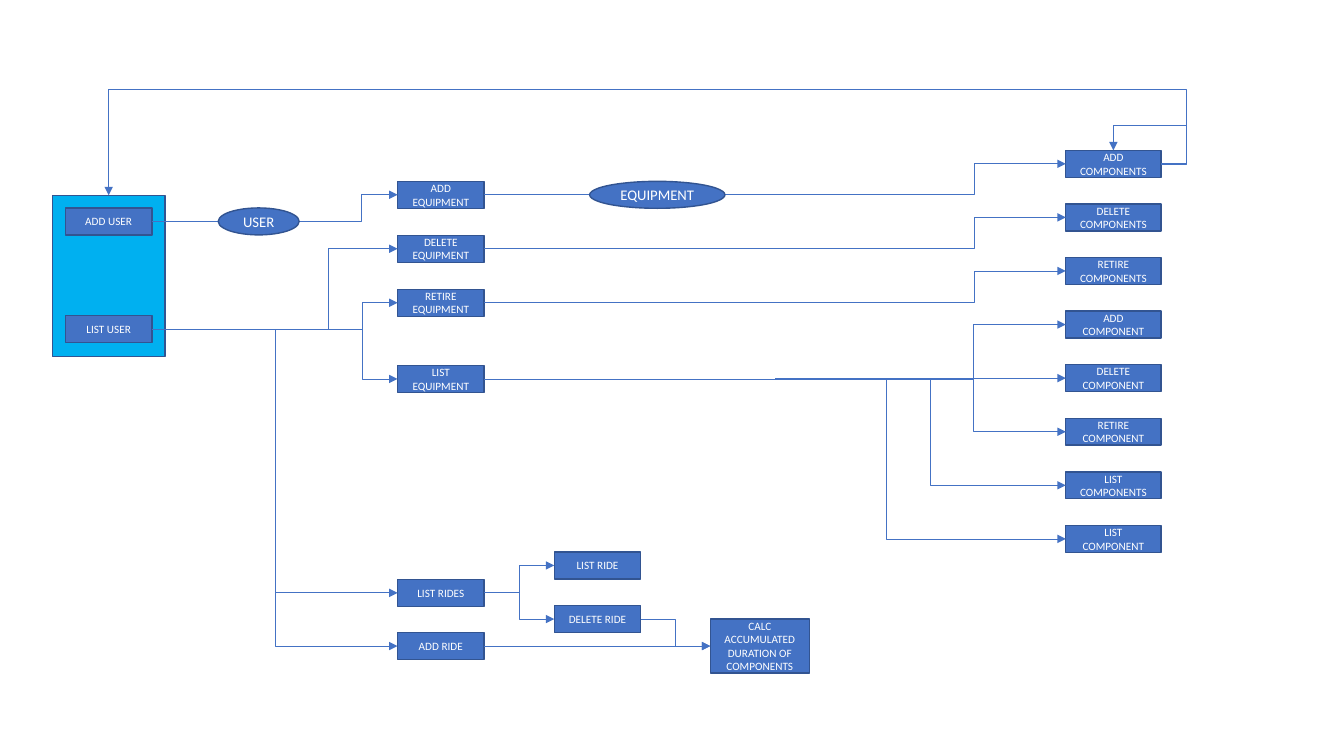
from pptx import Presentation
from pptx.dml.color import RGBColor
from pptx.enum.shapes import MSO_CONNECTOR as LINE, MSO_SHAPE as SHAPE
from pptx.enum.text import MSO_ANCHOR, PP_ALIGN
from pptx.oxml.ns import qn
from pptx.util import Cm, Pt
from lxml.etree import SubElement

TOP, LEFT, RIGHT = 0, 1, 3  # connection sites of a rectangle


def rgb(code):
    """Turn a hex string into a colour."""
    return RGBColor.from_string(code)


class Diagram:
    """Holds the style, the slide and the boxes found by their label."""

    font, fill, edge, ink = "Calibri", "4472C4", "325491", "FFFFFF"

    def __init__(self, slide):
        """Start an empty diagram on a slide."""
        self.shapes = slide.shapes
        self.boxes = {}

    def node(self, text, x, y, w=2.18, h=0.68, kind=SHAPE.RECTANGLE, size=8, fill=fill):
        """Draw a box or ellipse, sized in cm, with centred text."""
        sp = self.shapes.add_shape(kind, Cm(x), Cm(y), Cm(w), Cm(h))
        sp.shadow.inherit = False
        sp.fill.solid()
        sp.fill.fore_color.rgb = rgb(fill)
        sp.line.color.rgb = rgb(self.edge)
        sp.line.width = Pt(1)
        if text:
            tf = sp.text_frame
            tf.word_wrap = True
            tf.vertical_anchor = MSO_ANCHOR.MIDDLE
            p = tf.paragraphs[0]
            p.alignment = PP_ALIGN.CENTER
            r = p.add_run()
            r.text = text
            r.font.name, r.font.size = self.font, Pt(size)
            r.font.color.rgb = rgb(self.ink)
            self.boxes[text] = sp
        return sp

    def column(self, labels, x, y, step, w=2.18):
        """Stack boxes at an equal step."""
        for i, label in enumerate(labels):
            self.node(label, x, y + i * step, w)

    def arrow(self, start, end, bend_x=None, bend_y=None, site=LEFT):
        """Join two boxes, turning at bend_x and, if given, at bend_y."""
        kind = LINE.STRAIGHT if bend_x is None else LINE.ELBOW
        cxn = self.shapes.add_connector(kind, 0, 0, 0, 0)
        cxn.begin_connect(start, RIGHT)
        cxn.end_connect(end, site)
        cxn.line.color.rgb = rgb(self.fill)
        cxn.line.width = Pt(0.5)
        sp_pr = cxn._element.spPr
        SubElement(sp_pr.find(qn("a:ln")), qn("a:tailEnd"), type="triangle")
        SubElement(sp_pr, qn("a:effectLst"))
        geom = sp_pr.find(qn("a:prstGeom"))
        if bend_y is not None:
            geom.set("prst", "bentConnector4")
        guides = geom.find(qn("a:avLst"))
        if guides is None:
            guides = SubElement(geom, qn("a:avLst"))
        spans = [(bend_x, cxn.begin_x, cxn.end_x), (bend_y, cxn.begin_y, cxn.end_y)]
        for i, (bend, a, b) in enumerate(spans, 1):
            if bend is not None:
                share = round((Cm(bend) - a) / (b - a) * 100000)
                SubElement(guides, qn("a:gd"), name=f"adj{i}", fmla=f"val {share}")


prs = Presentation()
prs.slide_width, prs.slide_height = Cm(33.87), Cm(19.05)
d = Diagram(prs.slides.add_slide(prs.slide_layouts[6]))

panel = d.node("", 1.32, 4.92, 2.84, 4.07, fill="00B0F0")
d.column(["ADD USER", "LIST USER"], 1.65, 5.24, 2.71)
d.column(["ADD EQUIPMENT", "DELETE EQUIPMENT", "RETIRE EQUIPMENT"], 10.02, 4.57, 1.36)
d.node("LIST EQUIPMENT", 10.02, 9.21)
d.column(["LIST RIDES", "ADD RIDE"], 10.02, 14.6, 1.34)
d.column(["LIST RIDE", "DELETE RIDE"], 13.97, 13.91, 1.35)
d.node("CALC ACCUMULATED DURATION OF COMPONENTS", 17.9, 15.6, 2.5, 1.36)
d.column(["ADD COMPONENTS", "DELETE COMPONENTS", "RETIRE COMPONENTS",
          "ADD COMPONENT", "DELETE COMPONENT", "RETIRE COMPONENT",
          "LIST COMPONENTS", "LIST COMPONENT"], 26.86, 3.79, 1.35, 2.4)

# Each source box with its targets and the x where the arrow turns
flows = {
    "ADD USER": [("ADD EQUIPMENT", 9.1)],
    "LIST USER": [("DELETE EQUIPMENT", 8.28), ("RETIRE EQUIPMENT", 9.12),
                  ("LIST EQUIPMENT", 9.12), ("LIST RIDES", 6.93), ("ADD RIDE", 6.93)],
    "ADD EQUIPMENT": [("ADD COMPONENTS", 24.56)],
    "DELETE EQUIPMENT": [("DELETE COMPONENTS", 24.56)],
    "RETIRE EQUIPMENT": [("RETIRE COMPONENTS", 24.56)],
    "LIST EQUIPMENT": [("ADD COMPONENT", 24.54), ("DELETE COMPONENT", 19.53),
                       ("RETIRE COMPONENT", 24.54), ("LIST COMPONENTS", 23.44),
                       ("LIST COMPONENT", 22.33)],
    "LIST RIDES": [("LIST RIDE", 13.08), ("DELETE RIDE", 13.08)],
    "DELETE RIDE": [("CALC ACCUMULATED DURATION OF COMPONENTS", 17.02)],
    "ADD RIDE": [("CALC ACCUMULATED DURATION OF COMPONENTS", None)],
}
for source, targets in flows.items():
    for target, bend_x in targets:
        d.arrow(d.boxes[source], d.boxes[target], bend_x)

# Loops from the last step back to the user panel and to itself
last = d.boxes["ADD COMPONENTS"]
for target, bend_y in [(panel, 2.24), (last, 3.16)]:
    d.arrow(last, target, 29.9, bend_y, TOP)

d.node("USER", 5.5, 5.24, 2.04, kind=SHAPE.OVAL, size=10.5)
d.node("EQUIPMENT", 14.86, 4.57, 3.41, kind=SHAPE.OVAL, size=10.5)

prs.save("out.pptx")
